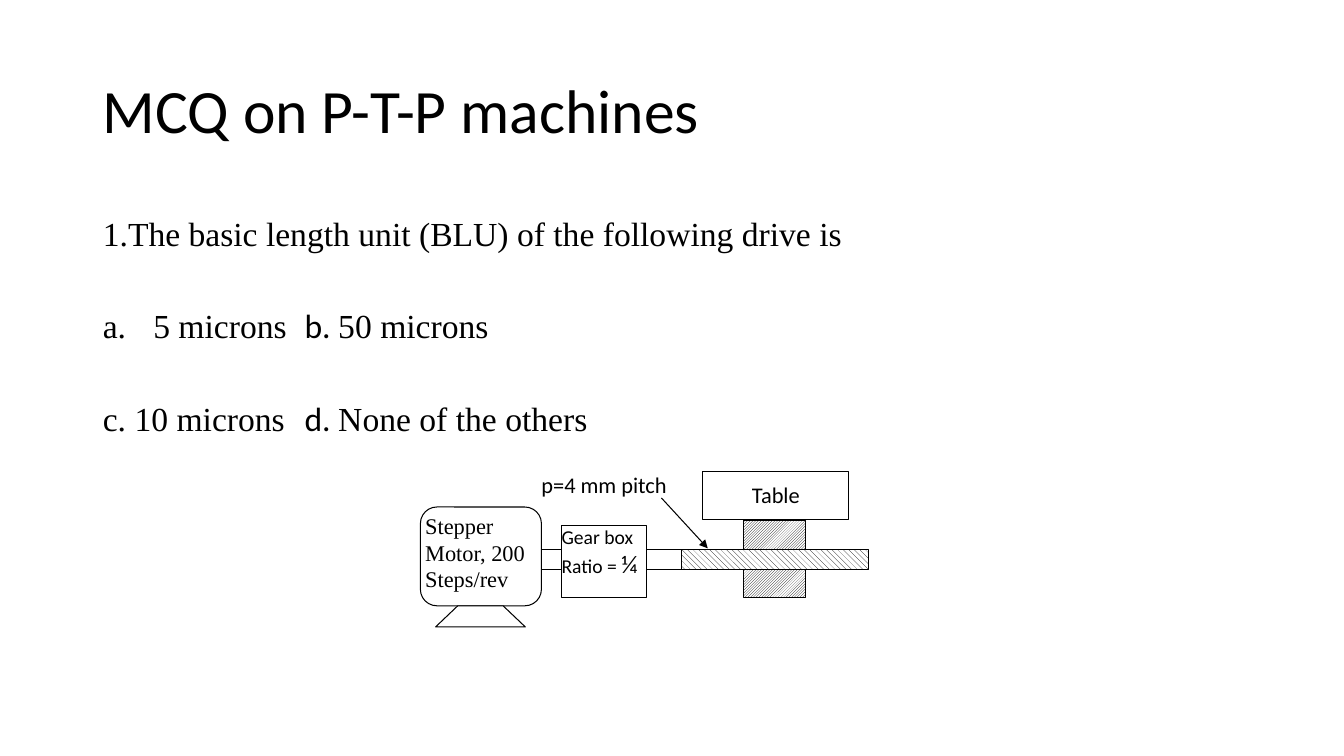
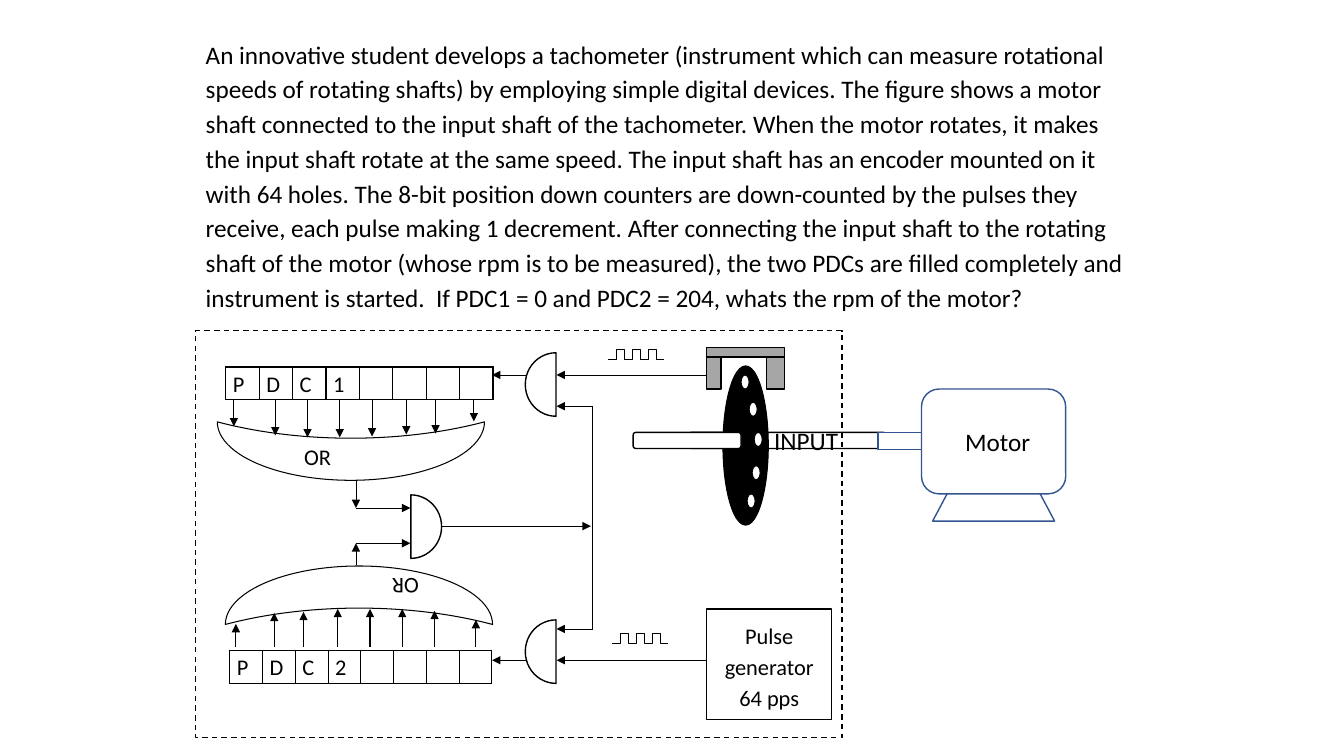
from lxml import etree
from pptx import Presentation
from pptx import util as u
from pptx.dml.color import RGBColor
from pptx.enum import dml, shapes, text
from pptx.oxml.ns import qn

BLACK = RGBColor(0, 0, 0)
WHITE = RGBColor(0xFF, 0xFF, 0xFF)
GREY = RGBColor(0xA6, 0xA6, 0xA6)
BLUE = RGBColor(0x32, 0x54, 0x91)
SANS, SERIF = "Calibri", "Times New Roman"
KIND = shapes.MSO_SHAPE
ALIGN, ANCHOR = text.PP_ALIGN, text.MSO_ANCHOR
DEFAULT_MARGINS = (0.1, 0.05, 0.1, 0.05)
TIGHT = (0, 0, 0, 0)

# Content: drive question
DRIVE_TITLE = "MCQ on P-T-P machines"
DRIVE_QUESTION = "The basic length unit (BLU) of the following drive is"
# Each option row: text spans and its tab stops
DRIVE_OPTIONS = [
    ([("a.\t5 microns\t", {}), ("b. ", {"font": SANS}), ("50 microns", {})], (0.5, 4.68)),
    ([("c. 10 microns\t", {}), ("d. ", {"font": SANS}), ("None of the others", {})], (4.74,)),
]

# Content: tachometer question
TACHOMETER_QUESTION = (
    "An innovative student develops a tachometer (instrument which can measure "
    "rotational speeds of rotating shafts) by employing simple digital devices. "
    "The figure shows a motor shaft connected to the input shaft of the tachometer. "
    "When the motor rotates, it makes the input shaft rotate at the same speed. "
    "The input shaft has an encoder mounted on it with 64 holes. "
    "The 8-bit position down counters are down-counted by the pulses they receive, "
    "each pulse making 1 decrement. After connecting the input shaft to the rotating "
    "shaft of the motor (whose rpm is to be measured), the two PDCs are filled "
    "completely and instrument is started.  If PDC1 = 0 and PDC2 = 204, whats the "
    "rpm of the motor?"
)
BITS = 8
COUNTERS = [  # label, left, top, width, height, fill
    ("PDC2", 2.28, 6.45, 2.6, 0.33, None),
    ("PDC1", 2.24, 3.64, 2.65, 0.32, WHITE),
]
# Bit arrows: start height, then x and tip height of each
BIT_ARROWS = [
    (3.96, [(2.32, 4.23), (2.73, 4.32), (3.05, 4.34), (3.37, 4.34),
            (3.69, 4.33), (4.03, 4.31), (4.32, 4.3), (4.7, 4.18)]),
    (6.42, [(2.34, 6.19), (2.72, 6.08), (3.01, 6.07), (3.35, 6.04),
            (3.67, 6.04), (3.99, 6.04), (4.31, 6.06), (4.72, 6.15)]),
]
OR_GATES = [  # moon box, its rotation, label box, label rotation
    ((3.19, 3.15, 0.58, 2.65), 270, (2.9, 4.38, 0.5, 0.3), 0),
    ((3.27, 4.58, 0.58, 2.65), 90, (3.77, 5.68, 0.5, 0.3), 180),
]
FACING_LEFT, FACING_RIGHT = (54, 162), (162, 54)
AND_GATES = [(5.21, 3.5, FACING_LEFT), (5.21, 6.15, FACING_LEFT), (3.77, 4.91, FACING_RIGHT)]
SIGNALS = [  # from, to
    ((7.01, 3.72), (5.52, 3.72)), ((5.3, 3.72), (4.88, 3.72)),
    ((7.01, 6.55), (5.52, 6.55)), ((5.3, 6.55), (4.88, 6.55)),
    ((3.53, 4.76), (3.53, 5.04)), ((3.53, 5.04), (4.07, 5.04)),
    ((3.53, 5.61), (3.53, 5.39)), ((3.53, 5.39), (4.07, 5.39)),
    ((4.38, 5.22), (5.86, 5.22)),
    ((5.88, 4.03), (5.52, 4.03)), ((5.88, 6.24), (5.52, 6.24)),
]
PULSE_TRAINS = [(6.03, 3.57), (6.07, 6.38)]
ENCODER_HOLES = [(7.35, 3.72), (7.43, 3.99), (7.48, 4.29), (7.46, 4.62), (7.41, 4.9)]
SENSOR_PARTS = [(7.01, 3.54, 0.14, 0.32), (7.6, 3.54, 0.18, 0.32), (7.01, 3.45, 0.77, 0.09)]


# Text helpers
def fill_para(para, spans, *, size=16, font=SANS, align=ALIGN.LEFT, spacing=1.0, before=0):
    para.alignment = align
    para.line_spacing = spacing
    para.space_before, para.space_after = u.Pt(before), u.Pt(0)
    for words, change in [(spans, {})] if isinstance(spans, str) else spans:
        span = para.add_run()
        span.text = words
        span.font.size = u.Pt(change.get("size", size))
        span.font.name = change.get("font", font)
        span.font.color.rgb = BLACK


def write(box, spans, *, anchor=ANCHOR.TOP, margins=DEFAULT_MARGINS, **style):
    frame = box.text_frame
    frame.word_wrap = True
    frame.auto_size = text.MSO_AUTO_SIZE.NONE
    frame.vertical_anchor = anchor
    (frame.margin_left, frame.margin_top,
     frame.margin_right, frame.margin_bottom) = map(u.Inches, margins)
    fill_para(frame.paragraphs[0], spans, **style)


def indent(para, left=0.0, first=0.0, number=None, tabs=()):
    props = para._p.get_or_add_pPr()
    props.set("marL", str(u.Inches(left)))
    props.set("indent", str(u.Inches(first)))
    if number:
        etree.SubElement(props, qn("a:buFont"), typeface="+mj-lt")
        etree.SubElement(props, qn("a:buAutoNum"), type=number)
    else:
        etree.SubElement(props, qn("a:buNone"))
    if tabs:
        stops = etree.SubElement(props, qn("a:tabLst"))
        for stop in tabs:
            etree.SubElement(stops, qn("a:tab"), pos=str(u.Inches(stop)), algn="l")


def place(box, left, top, width, height):
    box.left, box.top = u.Inches(left), u.Inches(top)
    box.width, box.height = u.Inches(width), u.Inches(height)


# Drawing helpers
def add_box(page, kind, area, *, fill=WHITE, line=BLACK, weight=0.75, adjust=(), turn=0):
    box = page.shapes.add_shape(kind, *map(u.Inches, area))
    box.shadow.inherit = False
    box.rotation = turn
    for index, value in enumerate(adjust):
        box.adjustments[index] = value
    if fill is None:
        box.fill.background()
    else:
        box.fill.solid()
        box.fill.fore_color.rgb = fill
    box.line.color.rgb = line
    box.line.width = u.Pt(weight)
    return box


def hatch(box, pattern):
    box.fill.patterned()
    box.fill.pattern = pattern
    box.fill.fore_color.rgb, box.fill.back_color.rgb = BLACK, WHITE


def add_line(page, start, end, *, weight=0.5, arrow=True):
    line = page.shapes.add_connector(
        shapes.MSO_CONNECTOR.STRAIGHT, *map(u.Inches, (*start, *end)))
    line.line.color.rgb = BLACK
    line.line.width = u.Pt(weight)
    props = line.element.spPr
    if arrow:
        etree.SubElement(props.find(qn("a:ln")), qn("a:tailEnd"), type="triangle")
    etree.SubElement(props, qn("a:effectLst"))


def add_label(page, words, area, *, turn=0, **style):
    label = page.shapes.add_textbox(*map(u.Inches, area))
    label.rotation = turn
    write(label, words, margins=TIGHT, **style)


def add_pulse_train(page, left, base, step=0.08, rise=0.1, steps=7):
    points = []
    for index in range(steps):
        level = base - rise * (index % 2)
        points += [(left + index * step, level), (left + (index + 1) * step, level)]
    points = [tuple(map(u.Inches, point)) for point in points]
    builder = page.shapes.build_freeform(*points[0])
    builder.add_line_segments(points[1:], close=False)
    train = builder.convert_to_shape()
    train.shadow.inherit = False
    train.fill.background()
    train.line.color.rgb = BLACK
    train.line.width = u.Pt(0.5)


def add_counter(page, label, left, top, width, height, fill):
    table = page.shapes.add_table(
        1, BITS, *map(u.Inches, (left, top, width, height))).table
    table.first_row = table.horz_banding = False
    for index in range(BITS):
        table.columns[index].width = u.Inches(width / BITS)
        cell = table.cell(0, index)
        cell.margin_left = cell.margin_right = u.Inches(0.07)
        cell.margin_top = cell.margin_bottom = 0
        for side in ("a:lnL", "a:lnR", "a:lnT", "a:lnB"):
            border = etree.SubElement(
                cell._tc.get_or_add_tcPr(), qn(side), w=str(u.Pt(1)))
            solid = etree.SubElement(border, qn("a:solidFill"))
            etree.SubElement(solid, qn("a:srgbClr"), val=str(BLACK))
        if fill is None:
            cell.fill.background()
        else:
            cell.fill.solid()
            cell.fill.fore_color.rgb = fill
        if index < len(label):
            fill_para(cell.text_frame.paragraphs[0], label[index], spacing=1.15)


# Slides
def build_drive(deck):
    page = deck.slides.add_slide(deck.slide_layouts[1])
    title, body = page.placeholders
    place(title, 0.92, 0.4, 11.5, 1.45)
    write(title, DRIVE_TITLE, size=44, spacing=0.9, anchor=ANCHOR.MIDDLE)

    # Question and options
    place(body, 0.92, 2, 11.5, 4.76)
    style = {"size": 24, "font": SERIF, "spacing": 1.15}
    write(body, DRIVE_QUESTION, **style)
    indent(body.text_frame.paragraphs[0], 0.25, -0.25, number="arabicPeriod")
    for spans, tabs in DRIVE_OPTIONS:
        para = body.text_frame.add_paragraph()
        fill_para(para, spans, before=33, **style)
        indent(para, tabs=tabs)

    # Motor and gear box
    motor = add_box(page, KIND.FLOWCHART_ALTERNATE_PROCESS, (4.17, 5.03, 1.2, 0.98))
    write(motor, "Stepper Motor, 200 Steps/rev", font=SERIF, margins=TIGHT)
    add_box(page, KIND.TRAPEZOID, (4.32, 6.01, 0.89, 0.21), adjust=[1.05])
    add_box(page, KIND.RECTANGLE, (5.37, 5.45, 2.96, 0.2))
    gear_box = add_box(page, KIND.FLOWCHART_PROCESS, (5.57, 5.21, 0.84, 0.72))
    write(gear_box, [("Gear box Ratio = ", {}), ("¼", {"size": 18})], size=14, margins=TIGHT)

    # Nut, screw and table
    nut = add_box(page, KIND.RECTANGLE, (7.37, 5.16, 0.62, 0.77))
    hatch(nut, dml.MSO_PATTERN.LIGHT_UPWARD_DIAGONAL)
    screw = add_box(page, KIND.RECTANGLE, (6.76, 5.45, 1.85, 0.2))
    hatch(screw, dml.MSO_PATTERN.WIDE_DOWNWARD_DIAGONAL)
    table = add_box(page, KIND.FLOWCHART_PROCESS, (6.97, 4.68, 1.45, 0.47))
    write(table, "Table", align=ALIGN.CENTER, spacing=1.15)
    add_label(page, "p=4 mm pitch", (5.37, 4.67, 1.31, 0.36))
    add_line(page, (6.56, 4.94), (7.02, 5.44), weight=0.75)


def build_tachometer(deck):
    page = deck.slides.add_slide(deck.slide_layouts[5])
    title = page.shapes.title
    place(title, 1.94, 0.4, 9.35, 2.64)
    write(title, TACHOMETER_QUESTION, size=18, spacing=1.15, anchor=ANCHOR.MIDDLE)
    for counter in COUNTERS:
        add_counter(page, *counter)

    # Input shaft, encoder disc and sensor
    add_box(page, KIND.TRAPEZOID, (9.25, 4.34, 1.21, 0.83), line=BLUE, weight=1, adjust=[0.53])
    shaft = add_box(page, KIND.ROUNDED_RECTANGLE, (6.83, 4.29, 1.96, 0.16), weight=1)
    write(shaft, "INPUT", size=18, anchor=ANCHOR.MIDDLE, margins=(0.84, 0.05, 0, 0.05))
    add_box(page, KIND.OVAL, (7.17, 3.63, 0.45, 1.58), fill=BLACK)
    for left, top in ENCODER_HOLES:
        add_box(page, KIND.OVAL, (left, top, 0.08, 0.14))
    add_box(page, KIND.ROUNDED_RECTANGLE, (6.28, 4.29, 1.07, 0.16), weight=1)
    for part in SENSOR_PARTS:
        add_box(page, KIND.RECTANGLE, part, fill=GREY, weight=1)

    # Signals and gates
    for left, base in PULSE_TRAINS:
        add_pulse_train(page, left, base)
    for area, turn, label_area, label_turn in OR_GATES:
        add_box(page, KIND.MOON, area, adjust=[0.72], turn=turn)
        add_label(page, "OR", label_area, turn=label_turn,
                  align=ALIGN.CENTER, anchor=ANCHOR.MIDDLE)
    for start, tips in BIT_ARROWS:
        for x, tip in tips:
            add_line(page, (x, start), (x, tip), weight=0.75)
    for start, end in SIGNALS:
        add_line(page, start, end)
    add_line(page, (5.88, 6.24), (5.88, 4.03), arrow=False)
    for left, top, facing in AND_GATES:
        fill = WHITE if facing == FACING_LEFT else None
        add_box(page, KIND.CHORD, (left, top, 0.61, 0.63), fill=fill, weight=1, adjust=facing)

    # Pulse generator and instrument outline
    generator = add_box(page, KIND.RECTANGLE, (7.01, 6.04, 1.24, 1.1), fill=None, weight=1)
    write(generator, "Pulse generator 64 pps", align=ALIGN.CENTER,
          anchor=ANCHOR.MIDDLE, spacing=1.15)
    outline = add_box(page, KIND.RECTANGLE, (1.94, 3.28, 6.41, 4.04), fill=None, weight=1)
    outline.line.dash_style = dml.MSO_LINE.DASH

    # Motor
    add_box(page, KIND.RECTANGLE, (8.71, 4.29, 0.62, 0.17), line=BLUE, weight=1)
    motor = add_box(page, KIND.ROUNDED_RECTANGLE, (9.14, 3.86, 1.43, 1.04), line=BLUE, weight=1)
    write(motor, "Motor", size=18, align=ALIGN.CENTER, anchor=ANCHOR.MIDDLE,
          margins=(0.18, 0.05, 0.1, 0.05))


def main():
    deck = Presentation()
    deck.slide_width, deck.slide_height = u.Inches(13.33), u.Inches(7.5)
    build_drive(deck)
    build_tachometer(deck)
    deck.save("out.pptx")


if __name__ == "__main__":
    main()
